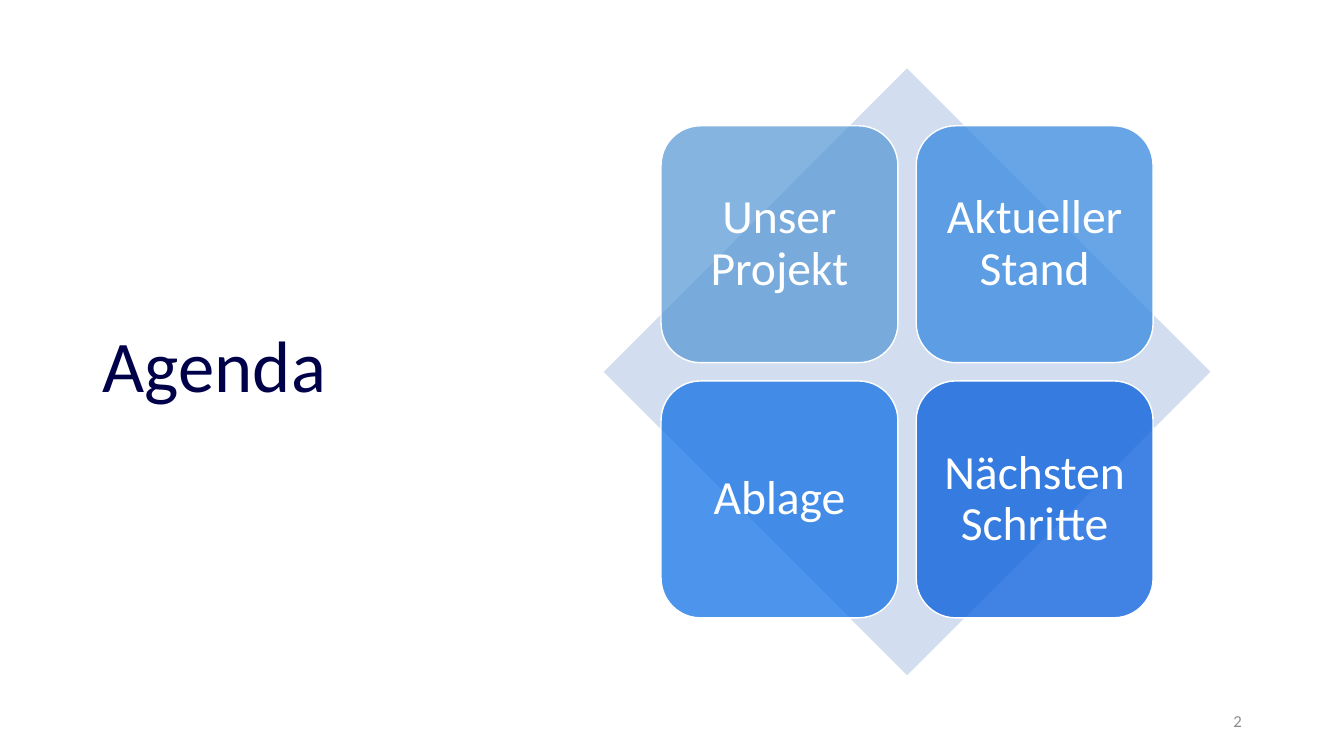
"""Build the agenda slide: a title beside four cards on a diamond."""
from typing import NamedTuple

from lxml import etree
from pptx import Presentation
from pptx import util as u
from pptx.dml.color import RGBColor
from pptx.enum import shapes, text
from pptx.oxml.ns import qn

FONT = "Calibri"
CENTRE_X, CENTRE_Y = 22.86, 9.37
DIAMOND_SIZE = 15.29
CARD_SIZE, CARD_GAP = 5.97, 0.46
CARD_INSET = 0.36
CARD_OPACITY = 75


class Card(NamedTuple):
    label: str
    colour: str


CARDS = (
    Card("Unser Projekt", "5B9BD5"),
    Card("Aktueller Stand", "3588DF"),
    Card("Ablage", "1271E6"),
    Card("Nächsten Schritte", "015ADB"),
)


def set_colour(target, colour: str, opacity: int = 100) -> None:
    if hasattr(target, "solid"):
        target.solid()
        target = target.fore_color
    target.rgb = RGBColor.from_string(colour)
    if opacity < 100:
        node = target._xFill.find(qn("a:srgbClr"))
        etree.SubElement(node, qn("a:alpha"), val=str(opacity * 1000))


def place(box, left: float, top: float, width: float, height: float) -> None:
    box.left, box.top, box.width, box.height = map(u.Cm, (left, top, width, height))


def write(box, words: str, size: int, colour: str, align, spacing: float = 1.0) -> None:
    frame = box.text_frame
    frame.text = words
    frame.word_wrap = True
    frame.auto_size = text.MSO_AUTO_SIZE.NONE
    frame.vertical_anchor = text.MSO_ANCHOR.MIDDLE
    para = frame.paragraphs[0]
    para.alignment = align
    para.line_spacing = spacing
    span = para.runs[0]
    span.font.name = FONT
    span.font.size = u.Pt(size)
    set_colour(span.font.color, colour)


def add_diamond(page) -> None:
    left, top = CENTRE_X - DIAMOND_SIZE / 2, CENTRE_Y - DIAMOND_SIZE / 2
    diamond = page.shapes.add_shape(
        shapes.MSO_SHAPE.DIAMOND,
        *map(u.Cm, (left, top, DIAMOND_SIZE, DIAMOND_SIZE)))
    diamond.shadow.inherit = False
    set_colour(diamond.fill, "D2DEEF")
    diamond.line.fill.background()


def add_card(page, card: Card, row: int, column: int) -> None:
    pitch = CARD_SIZE + CARD_GAP
    left = CENTRE_X - CARD_GAP / 2 - CARD_SIZE + column * pitch
    top = CENTRE_Y - CARD_GAP / 2 - CARD_SIZE + row * pitch
    box = page.shapes.add_shape(
        shapes.MSO_SHAPE.ROUNDED_RECTANGLE,
        *map(u.Cm, (left, top, CARD_SIZE, CARD_SIZE)))
    box.shadow.inherit = False
    set_colour(box.fill, card.colour, CARD_OPACITY)
    set_colour(box.line.fill, "FFFFFF")
    box.line.width = u.Pt(1)
    frame = box.text_frame
    frame.margin_left = frame.margin_right = u.Cm(CARD_INSET)
    frame.margin_top = frame.margin_bottom = u.Cm(CARD_INSET)
    write(box, card.label, 34, "FFFFFF", text.PP_ALIGN.CENTER, 0.9)


def main() -> None:
    deck = Presentation()
    deck.slide_width, deck.slide_height = u.Cm(33.87), u.Cm(19.05)
    page = deck.slides.add_slide(deck.slide_layouts.get_by_name("Title Only"))

    title = page.shapes.title
    place(title, 2.34, 1.55, 9.37, 15.47)
    write(title, "Agenda", 52, "000149", text.PP_ALIGN.LEFT, 0.9)

    number = page.shapes.add_textbox(*map(u.Cm, (23.93, 17.65, 7.62, 1.02)))
    write(number, "2", 12, "8C8C8C", text.PP_ALIGN.RIGHT)

    add_diamond(page)
    for index, card in enumerate(CARDS):
        add_card(page, card, *divmod(index, 2))

    deck.save("out.pptx")


if __name__ == "__main__":
    main()
